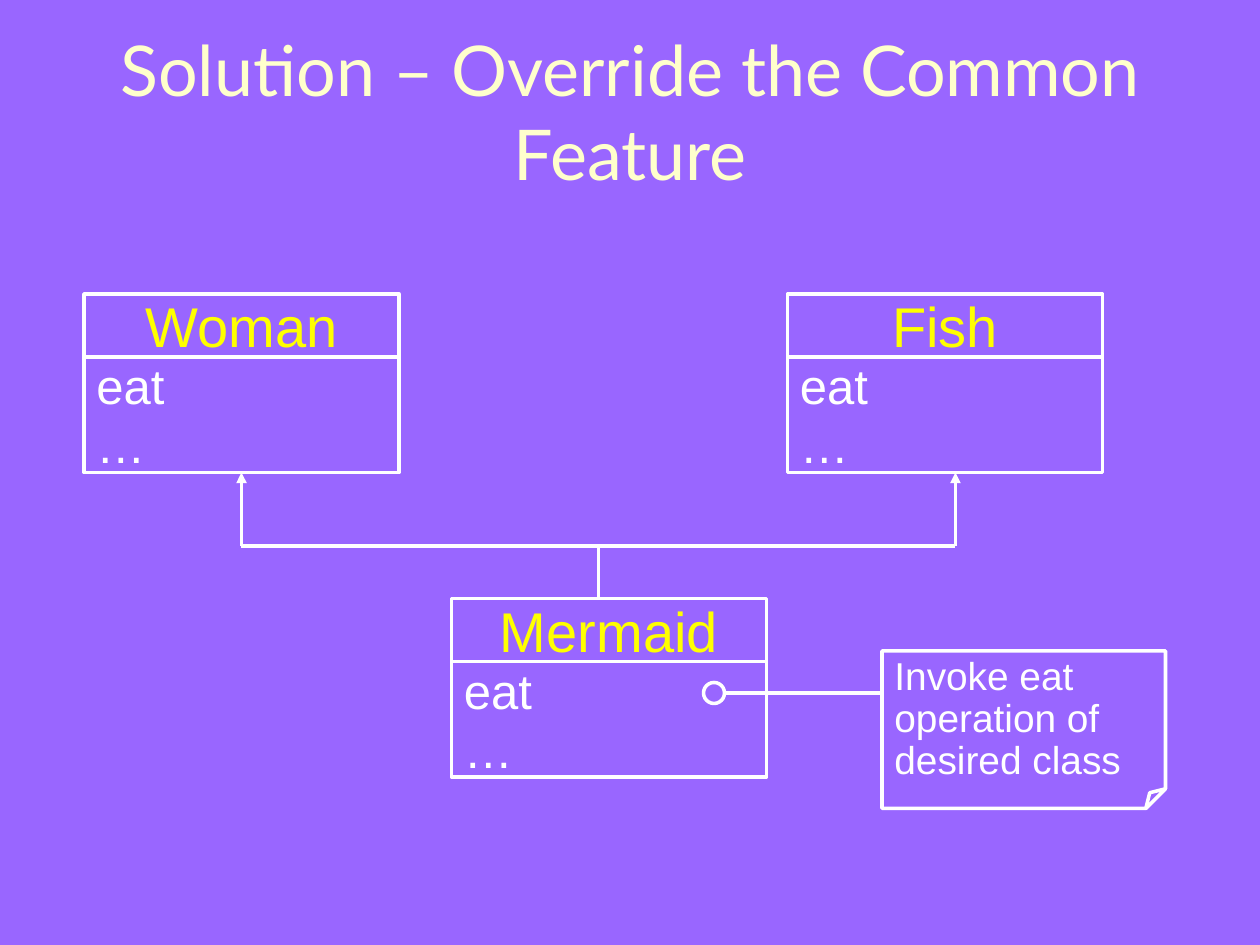
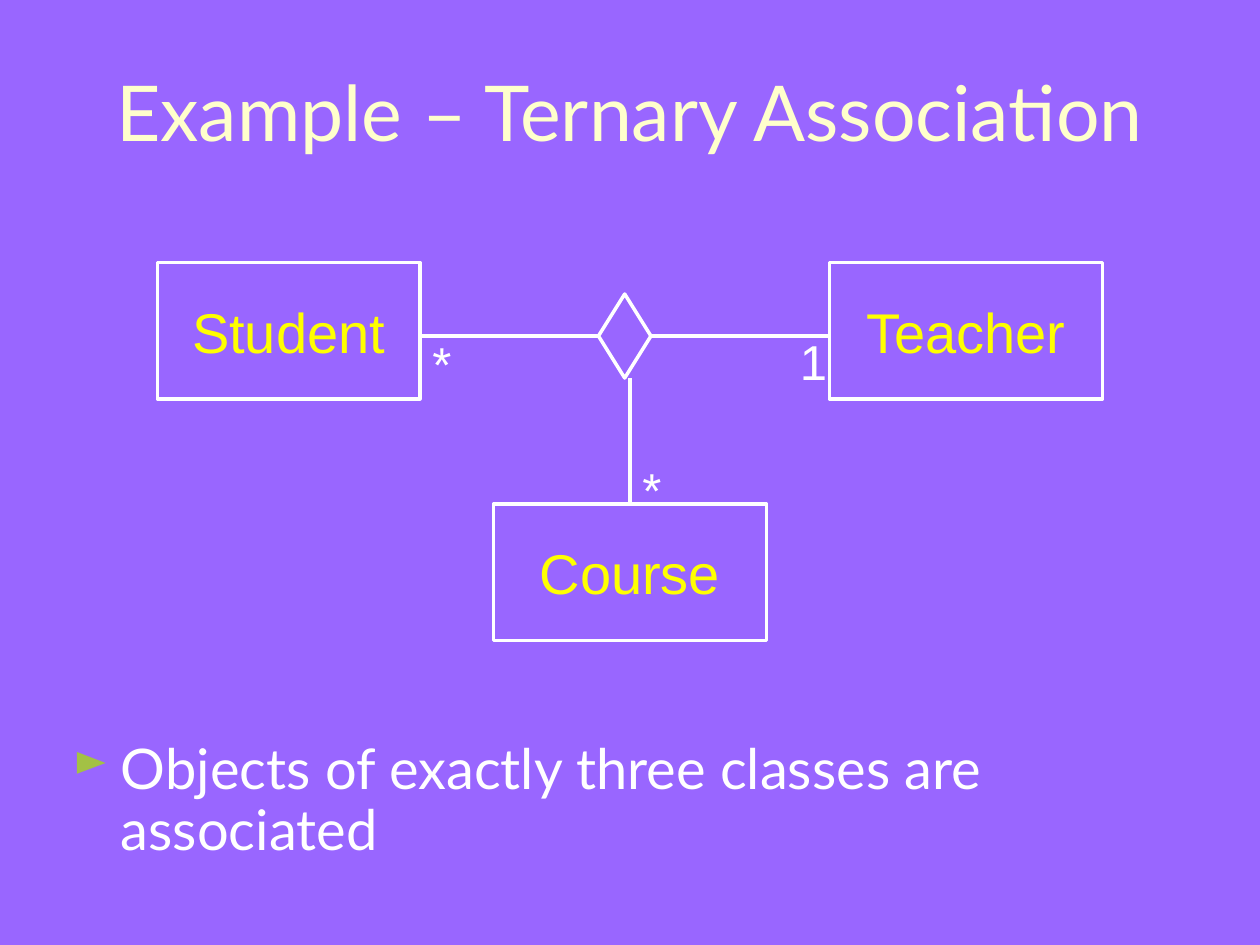
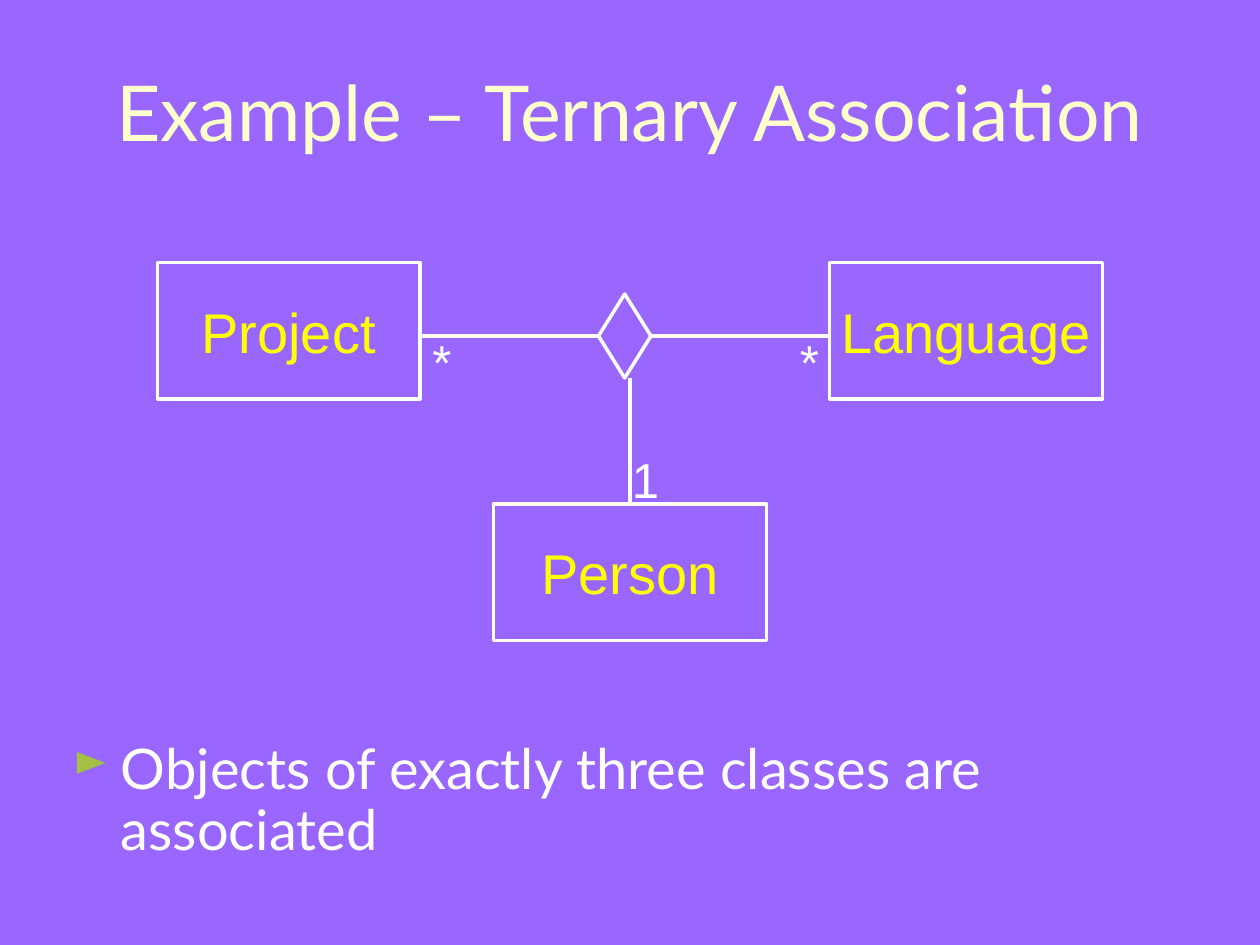
from lxml.etree import SubElement
from pptx import Presentation
from pptx.dml.color import RGBColor
from pptx.enum.shapes import MSO_CONNECTOR, MSO_SHAPE as SHAPE
from pptx.enum.text import MSO_ANCHOR as ANCHOR, PP_ALIGN as ALIGN
from pptx.oxml.ns import qn
from pptx.util import Inches, Pt

PURPLE, CREAM, WHITE, YELLOW, GREEN = "9966FF", "FFFFCC", "FFFFFF", "FFFF00", "A3C145"
rgb = RGBColor.from_string

prs = Presentation()
prs.slide_width, prs.slide_height = Inches(10), Inches(7.5)
CELL = prs.slide_width / 120  # the slide is a grid of 120 columns by 90 rows
background = prs.slide_master.background.fill
background.solid()
background.fore_color.rgb = rgb(PURPLE)
TITLE_AT = (4, 3, 112, 15)
TITLE_STYLE = dict(color=CREAM, font="Lato", align=ALIGN.CENTER)


def add_box(s, at, text="", size=28, color=WHITE, font="Arial", align=ALIGN.LEFT,
            anchor=ANCHOR.MIDDLE, shape=None, wrap=True):
    """Add an outlined shape, or a plain text box if no shape is given."""
    at = [round(n * CELL) for n in at]
    if shape is None:
        sp = s.shapes.add_textbox(*at)
    else:
        sp = s.shapes.add_shape(shape, *at)
        sp.shadow.inherit = False
        sp.fill.background()
        sp.line.color.rgb = rgb(WHITE)
        sp.line.width = Pt(2)
    tf = sp.text_frame
    tf.text = text
    tf.word_wrap = wrap
    tf.vertical_anchor = anchor
    for p in tf.paragraphs:
        p.alignment = align
        for r in p.runs:
            r.font.size, r.font.name, r.font.color.rgb = Pt(size), font, rgb(color)
    return sp


def add_line(s, x1, y1, x2, y2, arrow=False):
    ends = [round(n * CELL) for n in (x1, y1, x2, y2)]
    line = s.shapes.add_connector(MSO_CONNECTOR.STRAIGHT, *ends)
    line.line.color.rgb = rgb(WHITE)
    line.line.width = Pt(2)
    spPr = line._element.spPr
    if arrow:
        SubElement(spPr.find(qn("a:ln")), qn("a:tailEnd"), type="triangle")
    SubElement(spPr, qn("a:effectLst"))


NAME_STYLE = dict(size=32, color=YELLOW, align=ALIGN.CENTER, shape=SHAPE.RECTANGLE, wrap=False)

# Slide 1: multiple inheritance
s = prs.slides.add_slide(prs.slide_layouts[6])
add_box(s, TITLE_AT, "Solution – Override the Common Feature", 40, **TITLE_STYLE)

for name, left, top in (("Woman", 8, 28), ("Fish", 75, 28), ("Mermaid", 43, 57)):
    add_box(s, (left, top, 30, 6), name, **NAME_STYLE)
    add_box(s, (left, top + 6, 30, 11), "eat\n…", shape=SHAPE.RECTANGLE)

for x in (23, 91):
    add_line(s, x, 52, x, 45, arrow=True)
add_line(s, 23, 52, 91, 52)
add_line(s, 57, 52, 57, 57)

note = add_box(s, (84, 62, 27, 15), "Invoke eat operation of desired class", 22.2,
               shape=SHAPE.FOLDED_CORNER)
fold = next(note._element.iter(qn("a:avLst")))
SubElement(fold, qn("a:gd"), name="adj", fmla="val 12500")
note.text_frame.paragraphs[0].line_spacing = 0.9
add_box(s, (67, 65, 2, 2), shape=SHAPE.OVAL)
add_line(s, 69, 66, 84, 66)

# Slides 2 and 3: three classes, then the left, right and bottom multiplicities
CLASS_PLACES = ((15, 25, 25, 13), (79, 25, 26, 13), (47, 48, 26, 13))
ternary_slides = (
    (("Student", "Teacher", "Course"), (("*", 40, 31.2), ("1", 75, 31), ("*", 60, 43.2))),
    (("Project", "Language", "Person"), (("*", 40, 31), ("*", 75, 31), ("1", 59, 42.2))),
)
for classes, multiplicities in ternary_slides:
    s = prs.slides.add_slide(prs.slide_layouts[6])
    add_box(s, TITLE_AT, "Example – Ternary Association", 44, **TITLE_STYLE)

    for name, place in zip(classes, CLASS_PLACES):
        add_box(s, place, name, **NAME_STYLE)
    add_box(s, (57, 28, 5, 8), shape=SHAPE.DIAMOND)
    for ends in ((40, 32, 57, 32), (62, 32, 79, 32), (60, 36, 60, 48)):
        add_line(s, *ends)
    for text, left, top in multiplicities:
        label = add_box(s, (left, top, 5, 6.84), text, anchor=ANCHOR.TOP)
        label.text_frame.paragraphs[0].space_before = Pt(17.5)

    body = add_box(s, (6, 70, 108, 13), "Objects of exactly three classes are associated",
                   32, font="Lato", anchor=ANCHOR.TOP)
    body.text_frame.margin_left = Inches(0.08)
    p = body.text_frame.paragraphs[0]
    p.line_spacing, p.space_before = 0.9, Pt(8)
    pPr = p._p.get_or_add_pPr()
    pPr.set("marL", str(Inches(0.38)))
    pPr.set("indent", str(-Inches(0.38)))
    SubElement(SubElement(pPr, qn("a:buClr")), qn("a:srgbClr"), val=GREEN)
    SubElement(pPr, qn("a:buSzPct"), val="80000")
    SubElement(pPr, qn("a:buChar"), char="►")

prs.save("out.pptx")
